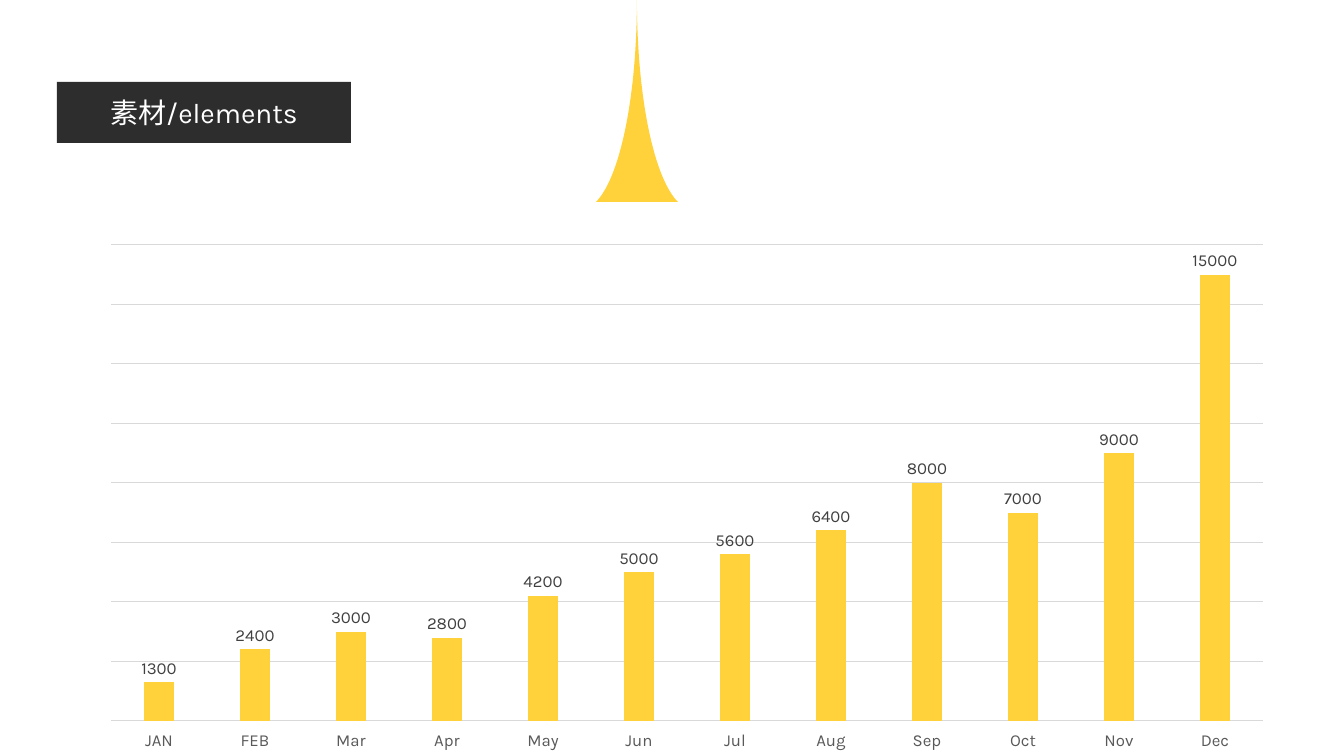
"""Build a slide with a pill title, a curved spike and a monthly column chart."""
from lxml.etree import SubElement
from pptx import Presentation
from pptx.chart.data import CategoryChartData
from pptx.dml.color import RGBColor
from pptx.enum.chart import XL_CHART_TYPE, XL_LABEL_POSITION, XL_TICK_LABEL_POSITION, XL_TICK_MARK
from pptx.enum.text import MSO_ANCHOR, MSO_AUTO_SIZE, PP_ALIGN
from pptx.oxml import parse_xml
from pptx.oxml.ns import nsdecls, qn
from pptx.util import Emu, Pt

TITLE = "素材/elements"
MONTHLY_VALUES = {
    "JAN": 1300, "FEB": 2400, "Mar": 3000, "Apr": 2800, "May": 4200, "Jun": 5000,
    "Jul": 5600, "Aug": 6400, "Sep": 8000, "Oct": 7000, "Nov": 9000, "Dec": 15000,
}
FONT = "Karla"
COLORS = {"yellow": "FFD23C", "dark": "2D2D2D", "white": "FFFFFF",
          "grid": "D9D9D9", "axis": "595959", "label": "404040"}

SLIDE_SIZE = (1344, 756)
TITLE_BOX = (57, 82, 294, 61)
CHART_BOX = (88, 235, 1200, 521)
PLOT_BOX = (111, 245, 1152, 476)
SPIKE_CURVE = [(637, 0), (637, 97), (654, 178), (678, 202)]
CURVE_STEPS = 40


def px(length):
    return Emu(round(length * 914400 / 100.8))


def color(name):
    return RGBColor.from_string(COLORS[name])


def style_font(font, size, color_name):
    font.name = FONT
    font.size = Pt(size)
    font.bold = False
    font.color.rgb = color(color_name)


def style_line(line):
    line.color.rgb = color("grid")
    line.width = Pt(0.75)


def curve_point(position):
    rest = 1 - position
    weights = (rest ** 3, 3 * rest ** 2 * position, 3 * rest * position ** 2, position ** 3)
    return tuple(sum(weight * point[axis] for weight, point in zip(weights, SPIKE_CURVE))
                 for axis in (0, 1))


def add_title(slide):
    title = slide.shapes.title
    title.left, title.top, title.width, title.height = map(px, TITLE_BOX)
    title._element.spPr.append(parse_xml(
        f'<a:prstGeom {nsdecls("a")} prst="roundRect"><a:avLst>'
        '<a:gd name="adj" fmla="val 50000"/></a:avLst></a:prstGeom>'))
    title.fill.solid()
    title.fill.fore_color.rgb = color("dark")
    frame = title.text_frame
    frame.auto_size = MSO_AUTO_SIZE.NONE
    frame.word_wrap = False
    frame.vertical_anchor = MSO_ANCHOR.MIDDLE
    paragraph = frame.paragraphs[0]
    paragraph.alignment = PP_ALIGN.CENTER
    run = paragraph.add_run()
    run.text = TITLE
    style_font(run.font, 20, "white")


def add_spike(slide):
    right = [curve_point(step / CURVE_STEPS) for step in range(CURVE_STEPS + 1)]
    center = SPIKE_CURVE[0][0]
    left = [(2 * center - x, y) for x, y in reversed(right[1:])]
    outline = [(px(x), px(y)) for x, y in right + left]
    builder = slide.shapes.build_freeform(*outline[0], scale=1.0)
    builder.add_line_segments(outline[1:], close=True)
    spike = builder.convert_to_shape()
    spike.shadow.inherit = False
    spike.fill.solid()
    spike.fill.fore_color.rgb = color("yellow")
    spike.line.fill.background()


def place_plot(chart):
    plot_area = chart._chartSpace.chart.plotArea
    layout = plot_area.find(qn("c:layout"))
    if layout is None:
        layout = parse_xml(f'<c:layout {nsdecls("c")}/>')
        plot_area.insert(0, layout)
    manual = SubElement(layout, qn("c:manualLayout"))
    left, top, width, height = CHART_BOX
    plot_left, plot_top, plot_width, plot_height = PLOT_BOX
    settings = {"layoutTarget": "inner", "xMode": "edge", "yMode": "edge",
                "x": round((plot_left - left) / width, 4),
                "y": round((plot_top - top) / height, 4),
                "w": round(plot_width / width, 4), "h": round(plot_height / height, 4)}
    for tag, value in settings.items():
        SubElement(manual, qn(f"c:{tag}")).set("val", str(value))


def add_chart(slide):
    data = CategoryChartData()
    data.categories = list(MONTHLY_VALUES)
    data.add_series("Series 1", list(MONTHLY_VALUES.values()))
    chart = slide.shapes.add_chart(
        XL_CHART_TYPE.COLUMN_CLUSTERED, *map(px, CHART_BOX), data).chart
    chart.has_title = False
    chart.has_legend = False
    style_font(chart.font, 12, "axis")
    place_plot(chart)

    months = chart.category_axis
    months.major_tick_mark = XL_TICK_MARK.NONE
    months.tick_label_position = XL_TICK_LABEL_POSITION.LOW
    style_font(months.tick_labels.font, 12, "axis")
    style_line(months.format.line)

    values = chart.value_axis
    values.visible = False
    values.minimum_scale, values.maximum_scale, values.major_unit = 0, 16000, 2000
    values.has_major_gridlines = True
    style_line(values.major_gridlines.format.line)

    plot = chart.plots[0]
    plot.vary_by_categories = False
    plot.gap_width, plot.overlap = 219, -27
    bars = plot.series[0]
    bars.format.fill.solid()
    bars.format.fill.fore_color.rgb = color("yellow")
    labels = bars.data_labels
    labels.show_value = True
    labels.position = XL_LABEL_POSITION.OUTSIDE_END
    style_font(labels.font, 12, "label")


def main():
    presentation = Presentation()
    presentation.slide_width, presentation.slide_height = map(px, SLIDE_SIZE)
    slide = presentation.slides.add_slide(presentation.slide_layouts[5])
    slide.background.fill.solid()
    slide.background.fill.fore_color.rgb = color("white")
    add_chart(slide)
    add_title(slide)
    add_spike(slide)
    presentation.save("out.pptx")


if __name__ == "__main__":
    main()
